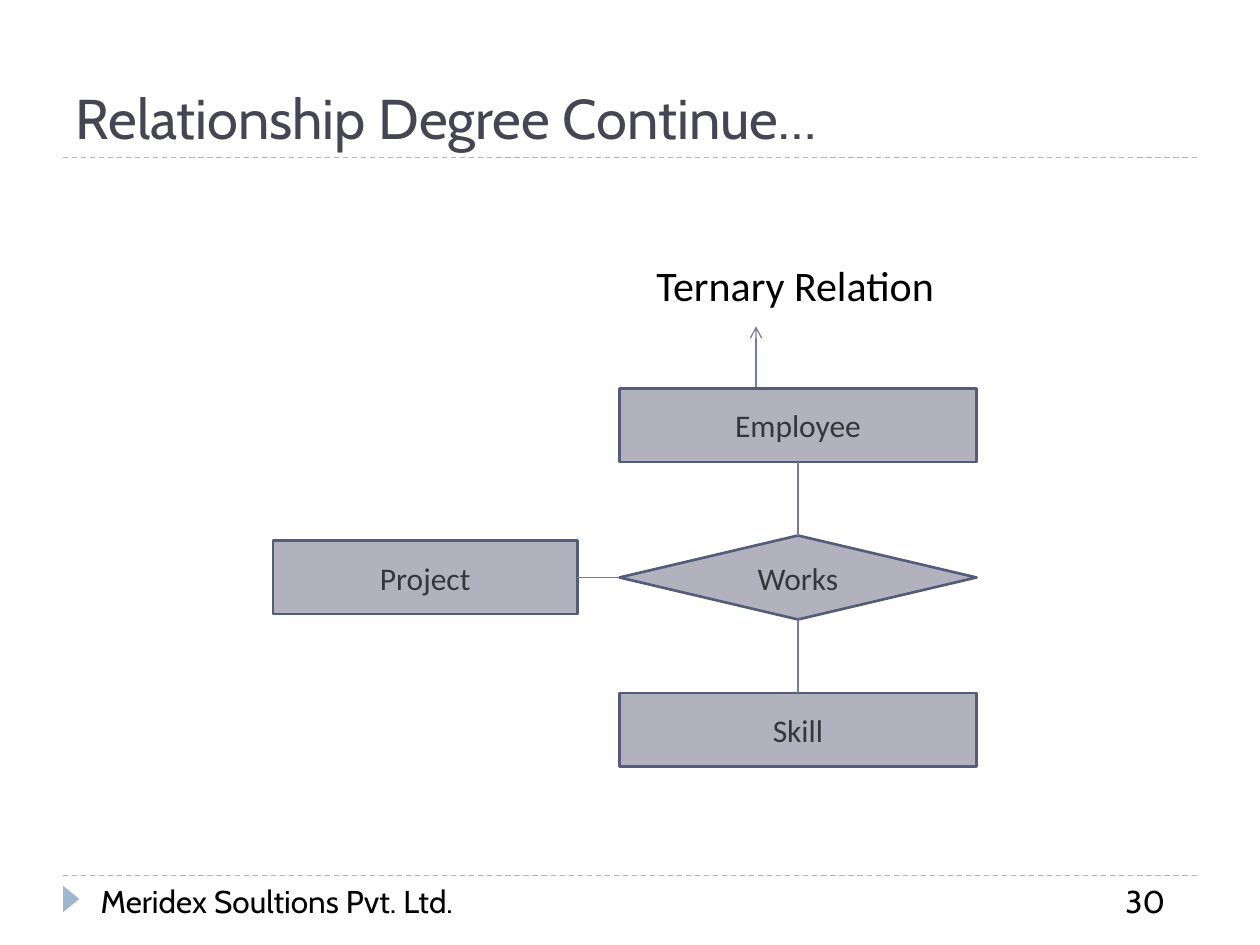
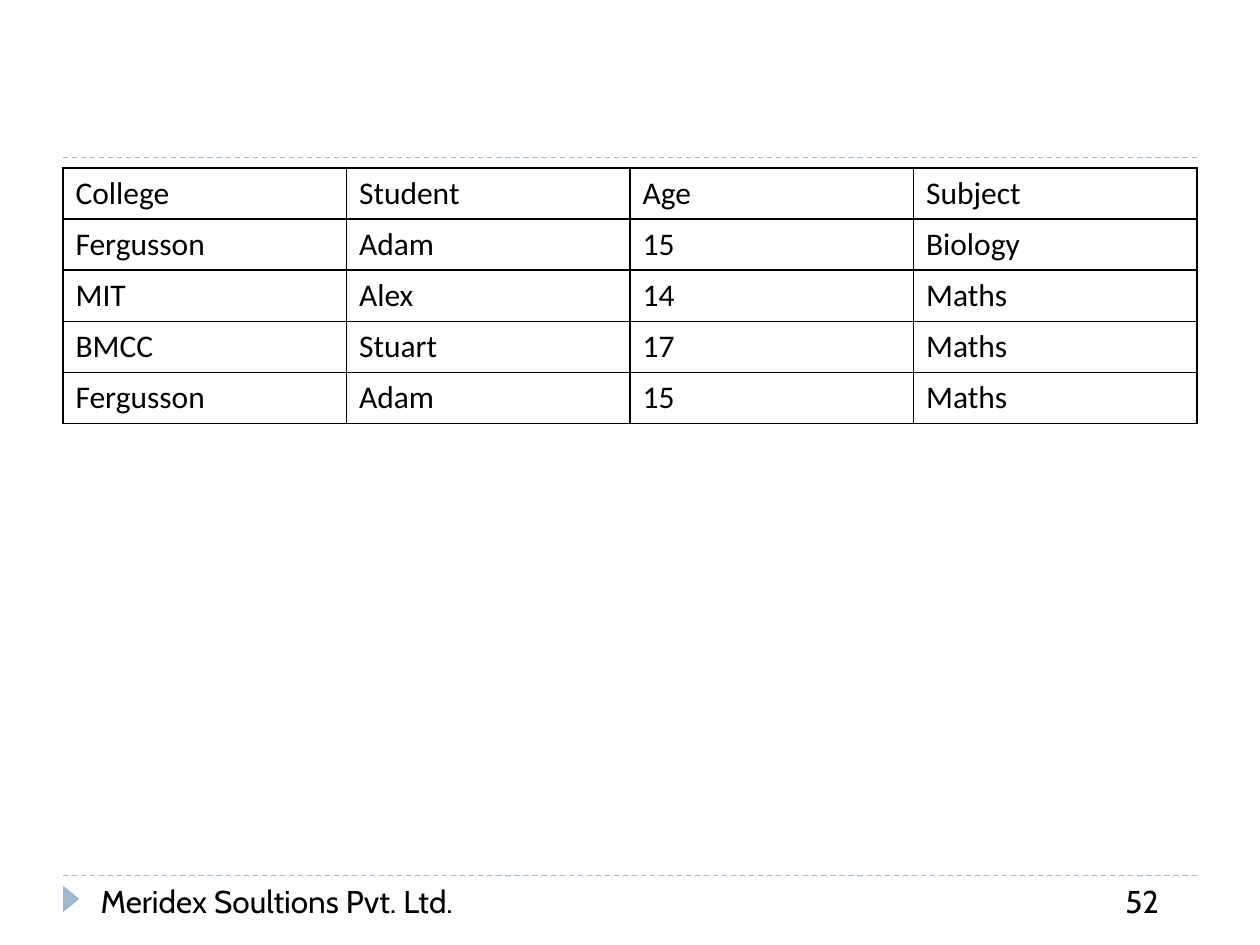
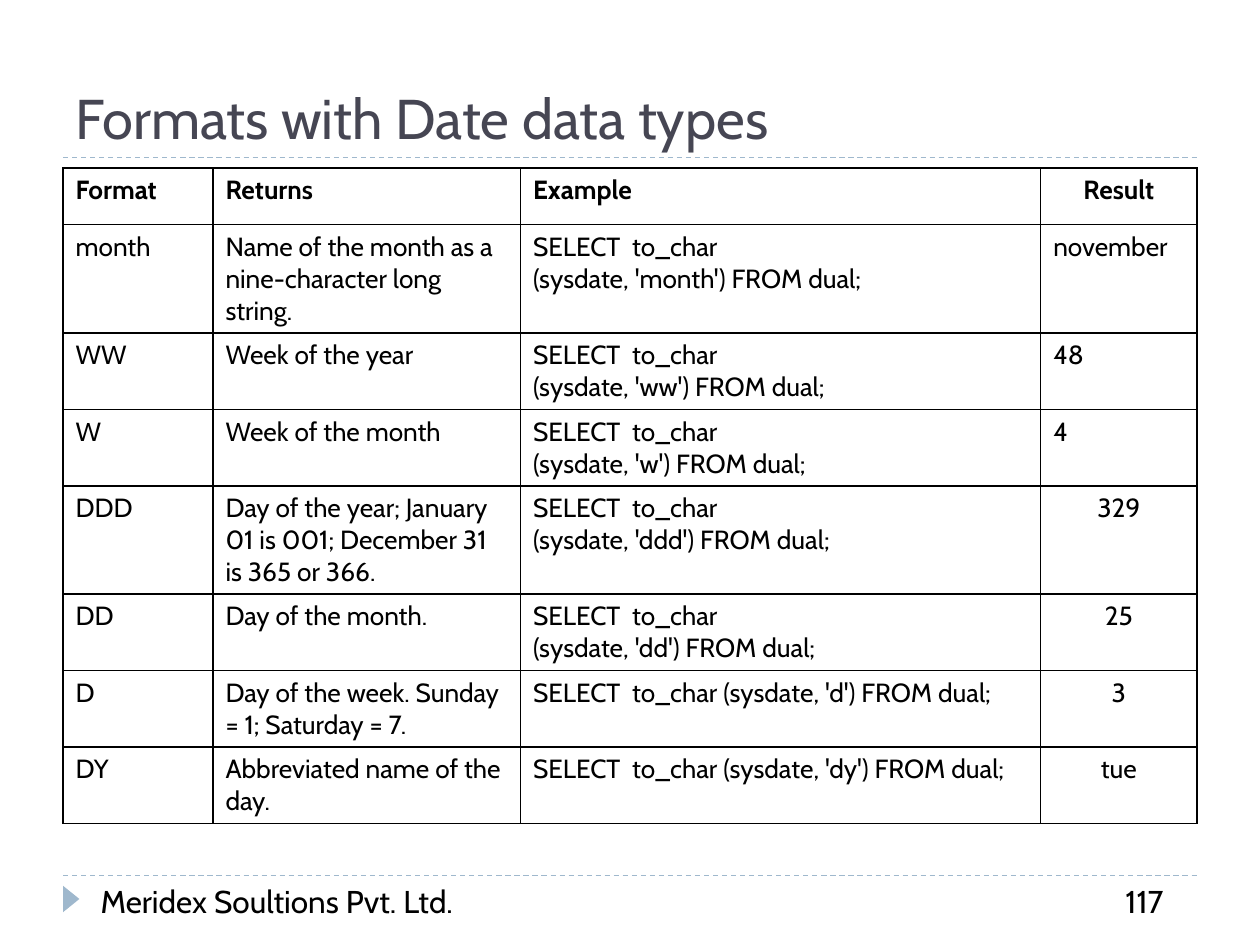
from dataclasses import dataclass

from lxml import etree
from pptx import Presentation
from pptx.dml.color import RGBColor
from pptx.enum.dml import MSO_LINE
from pptx.enum.shapes import MSO_CONNECTOR, MSO_SHAPE
from pptx.enum.text import MSO_ANCHOR, MSO_AUTO_SIZE, PP_ALIGN
from pptx.oxml import parse_xml
from pptx.oxml.ns import nsdecls, qn
from pptx.util import Pt

RECT, DIAMOND, TRIANGLE = MSO_SHAPE.RECTANGLE, MSO_SHAPE.DIAMOND, MSO_SHAPE.ISOSCELES_TRIANGLE
STRAIGHT = MSO_CONNECTOR.STRAIGHT
TOP, MIDDLE, BOTTOM = MSO_ANCHOR.TOP, MSO_ANCHOR.MIDDLE, MSO_ANCHOR.BOTTOM
LEFT, CENTER, JUSTIFY = PP_ALIGN.LEFT, PP_ALIGN.CENTER, PP_ALIGN.JUSTIFY
SITE_TOP, SITE_LEFT, SITE_BOTTOM, SITE_RIGHT = range(4)


@dataclass(frozen=True)
class Theme:
    heading: str = "Cabin"
    body: str = "Calibri"
    title_size: float = 32
    label_size: float = 24
    text_size: float = 18
    small_size: float = 15
    black: str = "000000"
    title: str = "464653"
    accent: str = "9FB8CD"
    node_fill: str = "B2B2BE"
    node_line: str = "545C79"
    node_text: str = "35353E"
    link: str = "727CA3"
    thin: float = 0.75
    thick: float = 1.5


T = Theme()


def set_text(tf, text, size, font, color, align=LEFT, anchor=TOP, bold=False):
    tf.text = text
    tf.word_wrap = True
    tf.vertical_anchor = anchor
    for p in tf.paragraphs:
        p.alignment = align
        for r in p.runs:
            r.font.size = Pt(size)
            r.font.name = font
            r.font.bold = bold
            r.font.color.rgb = RGBColor.from_string(color)


def add_line(s, x1, y1, x2, y2, color):
    line = s.shapes.add_connector(STRAIGHT, Pt(x1), Pt(y1), Pt(x2), Pt(y2))
    line.line.color.rgb = RGBColor.from_string(color)
    line.line.width = Pt(T.thin)
    etree.SubElement(line.element.spPr, qn("a:effectLst"))
    return line


prs = Presentation()
prs.slide_width, prs.slide_height = Pt(720), Pt(540)
layout = prs.slide_layouts[5]

PAGES = [
    ("Relationship Degree Continue…", "30"),
    (None, "52"),
    ("Formats with Date data types", "117"),
]
slides = [prs.slides.add_slide(layout) for page in PAGES]

s = slides[0]
bands = []
for y in (500.4, 90):
    band = add_line(s, 36, y, 684, y, T.accent)
    band.line.dash_style = MSO_LINE.DASH
    bands.append(band)
marker = s.shapes.add_shape(TRIANGLE, Pt(33.12), Pt(509.04), Pt(15.12), Pt(9.36))
marker.rotation = 90
marker.shadow.inherit = False
marker.fill.solid()
marker.fill.fore_color.rgb = RGBColor.from_string(T.accent)
marker.line.fill.background()
for sp in bands + [marker]:
    layout.shapes.element.append(sp.element)

for s, (title, number) in zip(slides, PAGES):
    sp = s.shapes.title
    if title:
        sp.left, sp.top, sp.width, sp.height = Pt(36), Pt(12), Pt(648), Pt(78)
        set_text(sp.text_frame, title, T.title_size, T.heading, T.title, anchor=BOTTOM)
        sp.text_frame.auto_size = MSO_AUTO_SIZE.NONE
    else:
        sp.element.getparent().remove(sp.element)
    for text, x, w in (("Meridex Soultions Pvt. Ltd.", 50.4, 273.6), (number, 636, 48)):
        sp = s.shapes.add_textbox(Pt(x), Pt(500.4), Pt(w), Pt(28.8))
        set_text(sp.text_frame, text, T.text_size, T.heading, T.black)

s = slides[0]
sp = s.shapes.add_textbox(Pt(368), Pt(145), Pt(176), Pt(36))
set_text(sp.text_frame, "Ternary Relation", T.label_size, T.body, T.black)
arrow = add_line(s, 432, 222, 432, 186.5, T.link)
arrow.line._get_or_add_ln().append(parse_xml(f'<a:tailEnd {nsdecls("a")} type="arrow"/>'))

nodes = {}
for name, kind, x, y, w, h in [
    ("Employee", RECT, 354, 222, 204, 42),
    ("Skill", RECT, 354, 396, 204, 42),
    ("Works", DIAMOND, 354, 306, 204, 48),
    ("Project", RECT, 156, 309, 174, 42),
]:
    sp = s.shapes.add_shape(kind, Pt(x), Pt(y), Pt(w), Pt(h))
    sp.shadow.inherit = False
    sp.fill.solid()
    sp.fill.fore_color.rgb = RGBColor.from_string(T.node_fill)
    sp.line.color.rgb = RGBColor.from_string(T.node_line)
    sp.line.width = Pt(T.thick)
    set_text(sp.text_frame, name, T.text_size, T.body, T.node_text, CENTER, MIDDLE)
    nodes[name] = sp

for start, start_site, end, end_site in [
    ("Employee", SITE_BOTTOM, "Works", SITE_TOP),
    ("Works", SITE_BOTTOM, "Skill", SITE_TOP),
    ("Works", SITE_LEFT, "Project", SITE_RIGHT),
]:
    link = add_line(s, 0, 0, 0, 0, T.link)
    link.begin_connect(nodes[start], start_site)
    link.end_connect(nodes[end], end_site)

students = [
    ("College", "Student", "Age", "Subject"),
    ("Fergusson", "Adam", "15", "Biology"),
    ("MIT", "Alex", "14", "Maths"),
    ("BMCC", "Stuart", "17", "Maths"),
    ("Fergusson", "Adam", "15", "Maths"),
]
formats = [
    ("Format", "Returns", "Example", "Result"),
    ("month", "Name of the month as a nine-character long string.",
     "SELECT  to_char\n(sysdate, 'month') FROM dual;", "november"),
    ("WW", "Week of the year", "SELECT  to_char\n(sysdate, 'ww') FROM dual;", "48"),
    ("W", "Week of the month", "SELECT  to_char\n(sysdate, 'w') FROM dual;", "4"),
    ("DDD", "Day of the year; January 01 is 001; December 31 is 365 or 366.",
     "SELECT  to_char\n(sysdate, 'ddd') FROM dual;", "329"),
    ("DD", "Day of the month.", "SELECT  to_char\n(sysdate, 'dd') FROM dual;", "25"),
    ("D", "Day of the week. Sunday = 1; Saturday = 7.",
     "SELECT  to_char (sysdate, 'd') FROM dual;", "3"),
    ("DY", "Abbreviated name of the day.",
     "SELECT  to_char (sysdate, 'dy') FROM dual;", "tue"),
]
two_lines, three_lines = 43.7, 61.9
format_heights = [32.4, three_lines, two_lines, two_lines, three_lines] + [two_lines] * 3
centered = {(i, 3) for i in (0, 4, 5, 6, 7)}

for s, rows, widths, heights, size, font, anchor, header, centers in [
    (slides[1], students, [162] * 4, [29.2] * 5, T.text_size, T.body, MIDDLE, False, set()),
    (slides[2], formats, [85.7, 175.7, 297.3, 89.3], format_heights,
     T.small_size, T.heading, TOP, True, centered),
]:
    frame = s.shapes.add_table(len(rows), len(widths), Pt(36), Pt(96), Pt(648), Pt(sum(heights)))
    table = frame.table
    table.first_row = table.horz_banding = False
    for column, w in zip(table.columns, widths):
        column.width = Pt(w)
    for i, (row, h) in enumerate(zip(rows, heights)):
        table.rows[i].height = Pt(h)
        for j, text in enumerate(row):
            cell = table.cell(i, j)
            bold = header and i == 0
            align = CENTER if (i, j) in centers else JUSTIFY if bold else LEFT
            set_text(cell.text_frame, text, size, font, T.black, align, bold=bold)
            cell.vertical_anchor = anchor
            cell.margin_left = cell.margin_right = Pt(7.2)
            cell.margin_top = cell.margin_bottom = Pt(3.6)
            for side in "LRTB":
                cell._tc.get_or_add_tcPr().append(parse_xml(
                    f'<a:ln{side} {nsdecls("a")} w="{Pt(1)}"><a:solidFill>'
                    f'<a:srgbClr val="{T.black}"/></a:solidFill></a:ln{side}>'))
            cell.fill.background()

prs.save("out.pptx")
